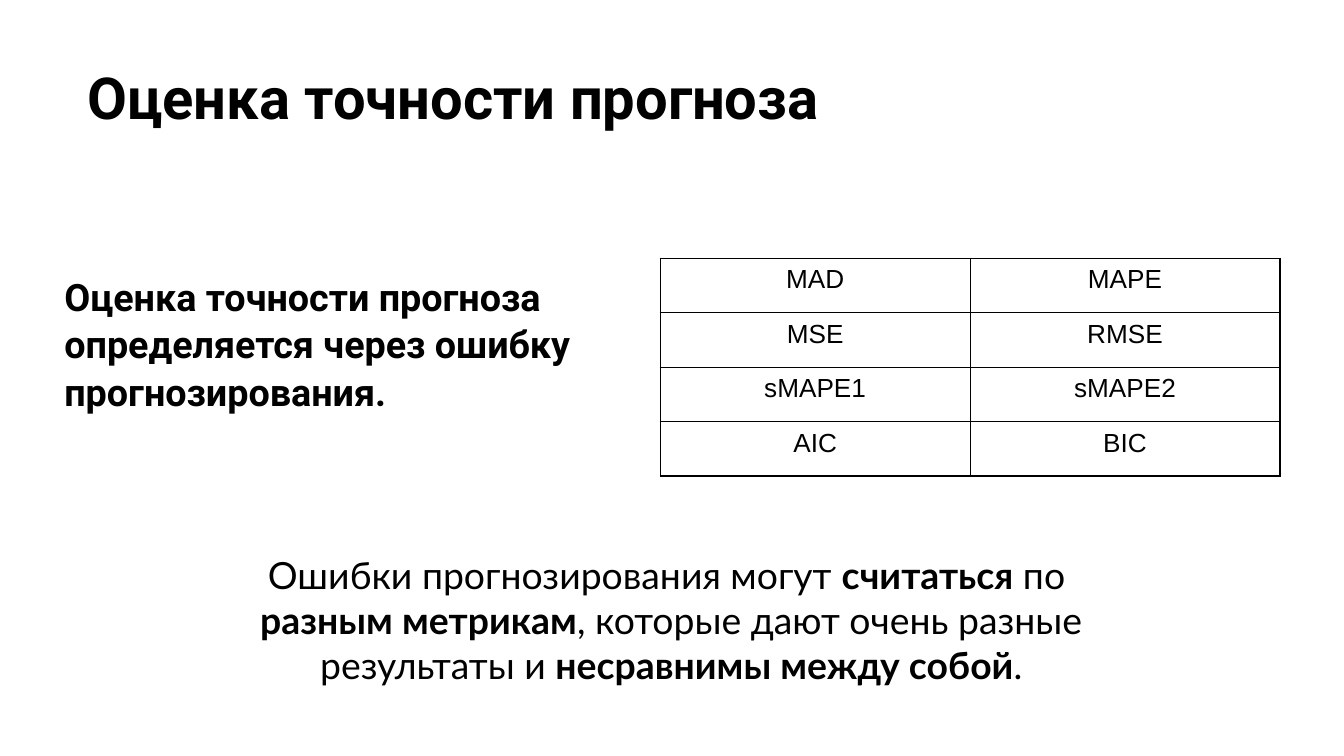
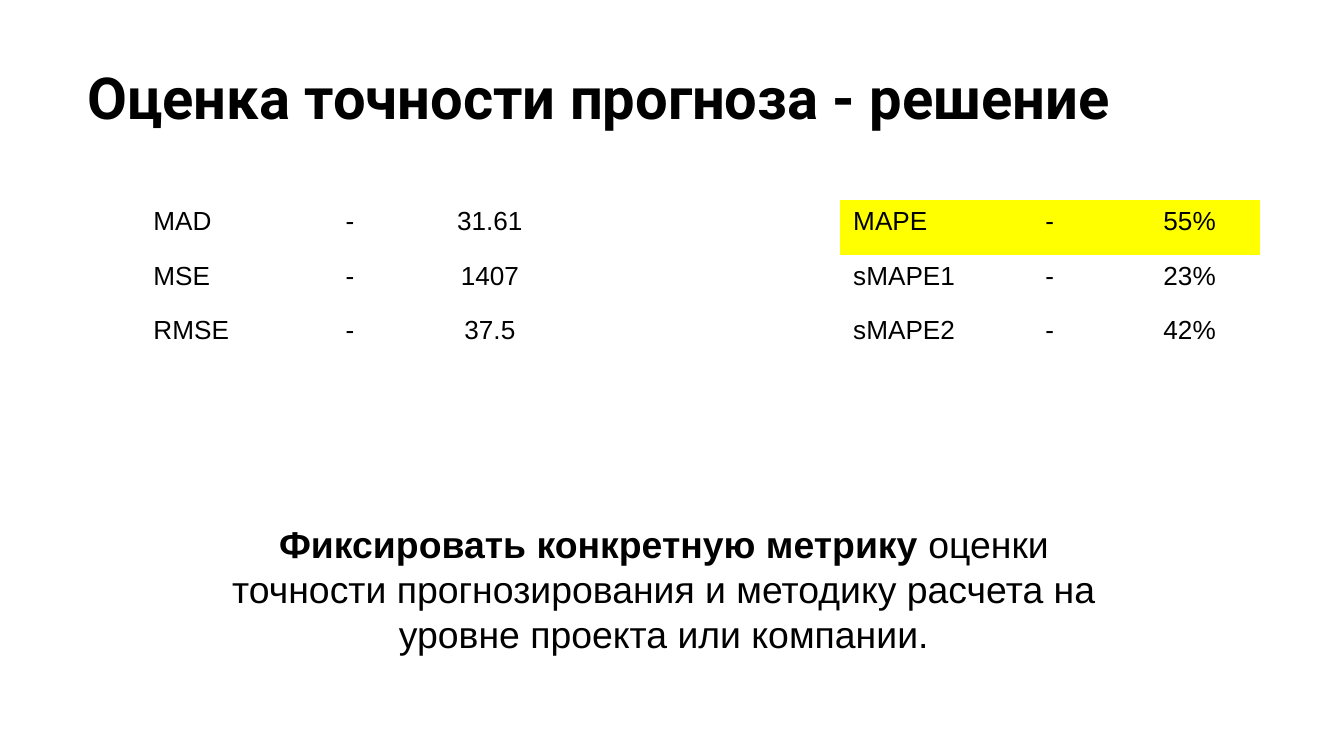
from dataclasses import dataclass

import lxml.etree
import pptx
import pptx.dml.color
import pptx.enum.text
import pptx.oxml.ns
import pptx.presentation
import pptx.slide
import pptx.table
import pptx.text.text
import pptx.util

Pt = pptx.util.Pt
ALIGN = pptx.enum.text.PP_ALIGN

COLORS = {"text": "000000", "border": "000000", "highlight": "FFFF00"}
TITLE_ONLY = 5
ROW_HEIGHT = 29.18
BORDER_WIDTH = 0.75


@dataclass(frozen=True)
class Box:
    left: float
    top: float
    width: float
    height: float


@dataclass(frozen=True)
class TextStyle:
    font: str
    size: float
    bold: bool = False
    align: ALIGN = ALIGN.LEFT
    inset: float = 7.2
    line_spacing: float = 1.0


@dataclass(frozen=True)
class Span:
    text: str
    bold: bool = False
    breaks_line: bool = False


@dataclass(frozen=True)
class MetricGrid:
    left: float
    top: float
    column_width: float
    rows: list[list[str]]
    left_aligned: tuple[int, ...] = ()
    highlighted: tuple[tuple[int, int], ...] = ()
    bordered: bool = False


TITLE_BOX = Box(39.6, 25.9, 671, 86.4)
TITLE_STYLE = TextStyle("Roboto", 31, bold=True)
DEFINITION_STYLE = TextStyle("Roboto", 20.2, bold=True, line_spacing=1.05)
CELL_STYLE = TextStyle("Arial", 14)


def rgb(name: str) -> pptx.dml.color.RGBColor:
    return pptx.dml.color.RGBColor.from_string(COLORS[name])


def format_paragraph(paragraph: pptx.text.text._Paragraph, style: TextStyle, align: ALIGN) -> None:
    paragraph.alignment = align
    paragraph.line_spacing = style.line_spacing
    font = paragraph.font
    font.name, font.size, font.bold = style.font, Pt(style.size), style.bold
    font.color.rgb = rgb("text")


def format_frame(frame: pptx.text.text.TextFrame, style: TextStyle) -> None:
    frame.word_wrap = True
    frame.auto_size = pptx.enum.text.MSO_AUTO_SIZE.NONE
    frame.vertical_anchor = pptx.enum.text.MSO_ANCHOR.TOP
    frame.margin_left = frame.margin_right = Pt(7.2)
    frame.margin_top = frame.margin_bottom = Pt(style.inset)
    format_paragraph(frame.paragraphs[0], style, style.align)


def add_titled_slide(deck: pptx.presentation.Presentation, text: str) -> pptx.slide.Slide:
    slide = deck.slides.add_slide(deck.slide_layouts[TITLE_ONLY])
    title = slide.shapes.title
    title.left, title.top = Pt(TITLE_BOX.left), Pt(TITLE_BOX.top)
    title.width, title.height = Pt(TITLE_BOX.width), Pt(TITLE_BOX.height)
    title.text_frame.text = text
    format_frame(title.text_frame, TITLE_STYLE)
    return slide


def add_text(slide: pptx.slide.Slide, box: Box, style: TextStyle, spans: list[Span]) -> None:
    frame = slide.shapes.add_textbox(
        Pt(box.left), Pt(box.top), Pt(box.width), Pt(box.height)
    ).text_frame
    paragraph = frame.paragraphs[0]
    for span in spans:
        run = paragraph.add_run()
        run.text = span.text
        if span.bold:
            run.font.bold = True
        if span.breaks_line:
            paragraph.add_line_break()
    format_frame(frame, style)


def set_borders(cell: pptx.table._Cell, visible: bool) -> None:
    qn = pptx.oxml.ns.qn
    properties = cell._tc.get_or_add_tcPr()
    for index, side in enumerate(("a:lnL", "a:lnR", "a:lnT", "a:lnB")):
        line = lxml.etree.Element(qn(side), w=str(Pt(BORDER_WIDTH)))
        if visible:
            fill = lxml.etree.SubElement(line, qn("a:solidFill"))
            lxml.etree.SubElement(fill, qn("a:srgbClr"), val=COLORS["border"])
        else:
            lxml.etree.SubElement(line, qn("a:noFill"))
        properties.insert(index, line)


def add_metric_grid(slide: pptx.slide.Slide, grid: MetricGrid) -> None:
    row_count, column_count = len(grid.rows), len(grid.rows[0])
    table = slide.shapes.add_table(
        row_count, column_count, Pt(grid.left), Pt(grid.top),
        Pt(grid.column_width * column_count), Pt(ROW_HEIGHT * row_count),
    ).table
    table.first_row = table.horz_banding = False
    for column in table.columns:
        column.width = Pt(grid.column_width)
    for row_index, metrics in enumerate(grid.rows):
        table.rows[row_index].height = Pt(ROW_HEIGHT)
        for column_index, metric in enumerate(metrics):
            cell = table.cell(row_index, column_index)
            cell.text = metric
            align = ALIGN.LEFT if column_index in grid.left_aligned else ALIGN.CENTER
            format_paragraph(cell.text_frame.paragraphs[0], CELL_STYLE, align)
            if (row_index, column_index) in grid.highlighted:
                cell.fill.solid()
                cell.fill.fore_color.rgb = rgb("highlight")
            else:
                cell.fill.background()
            set_borders(cell, grid.bordered)


def build_metrics_slide(deck: pptx.presentation.Presentation) -> None:
    slide = add_titled_slide(deck, "Оценка точности прогноза")

    # Definition beside the list of metrics
    add_text(slide, Box(27.4, 138.2, 309, 98), DEFINITION_STYLE, [
        Span("Оценка точности прогноза определяется через ошибку прогнозирования."),
    ])
    add_metric_grid(slide, MetricGrid(
        353.7, 138.4, 166,
        [["MAD", "MAPE"], ["MSE", "RMSE"], ["sMAPE1", "sMAPE2"], ["AIC", "BIC"]],
        bordered=True,
    ))

    # Conclusion
    add_text(
        slide, Box(85.7, 292.3, 548, 80),
        TextStyle("Lato", 20, align=ALIGN.CENTER, inset=3.6),
        [
            Span("Ошибки прогнозирования могут "),
            Span("считаться", bold=True),
            Span(" по ", breaks_line=True),
            Span("разным метрикам", bold=True),
            Span(", которые дают очень разные результаты и "),
            Span("несравнимы между собой", bold=True),
            Span("."),
        ],
    )


def build_solution_slide(deck: pptx.presentation.Presentation) -> None:
    slide = add_titled_slide(deck, "Оценка точности прогноза - решение")

    # Absolute metrics on the left, percentage metrics on the right
    absolute = [("MAD", "31.61"), ("MSE", "1407"), ("RMSE", "37.5")]
    percentage = [("MAPE", "55%"), ("sMAPE1", "23%"), ("sMAPE2", "42%")]
    rows = [
        [left_name, "-", left_value, "", "", right_name, "-", right_value]
        for (left_name, left_value), (right_name, right_value) in zip(absolute, percentage)
    ]
    add_metric_grid(slide, MetricGrid(
        75, 107.2, 75, rows,
        left_aligned=(0, 5), highlighted=((0, 5), (0, 6), (0, 7)),
    ))

    # Recommendation
    add_text(
        slide, Box(108, 275.8, 495.4, 80),
        TextStyle("Arial", 20, align=ALIGN.CENTER, inset=3.6),
        [
            Span("Фиксировать конкретную метрику ", bold=True),
            Span("оценки точности прогнозирования и методику расчета "
                 "на уровне проекта или компании."),
        ],
    )


def main() -> None:
    deck = pptx.Presentation()
    deck.slide_width, deck.slide_height = Pt(720), Pt(405)
    build_metrics_slide(deck)
    build_solution_slide(deck)
    deck.save("out.pptx")


if __name__ == "__main__":
    main()
